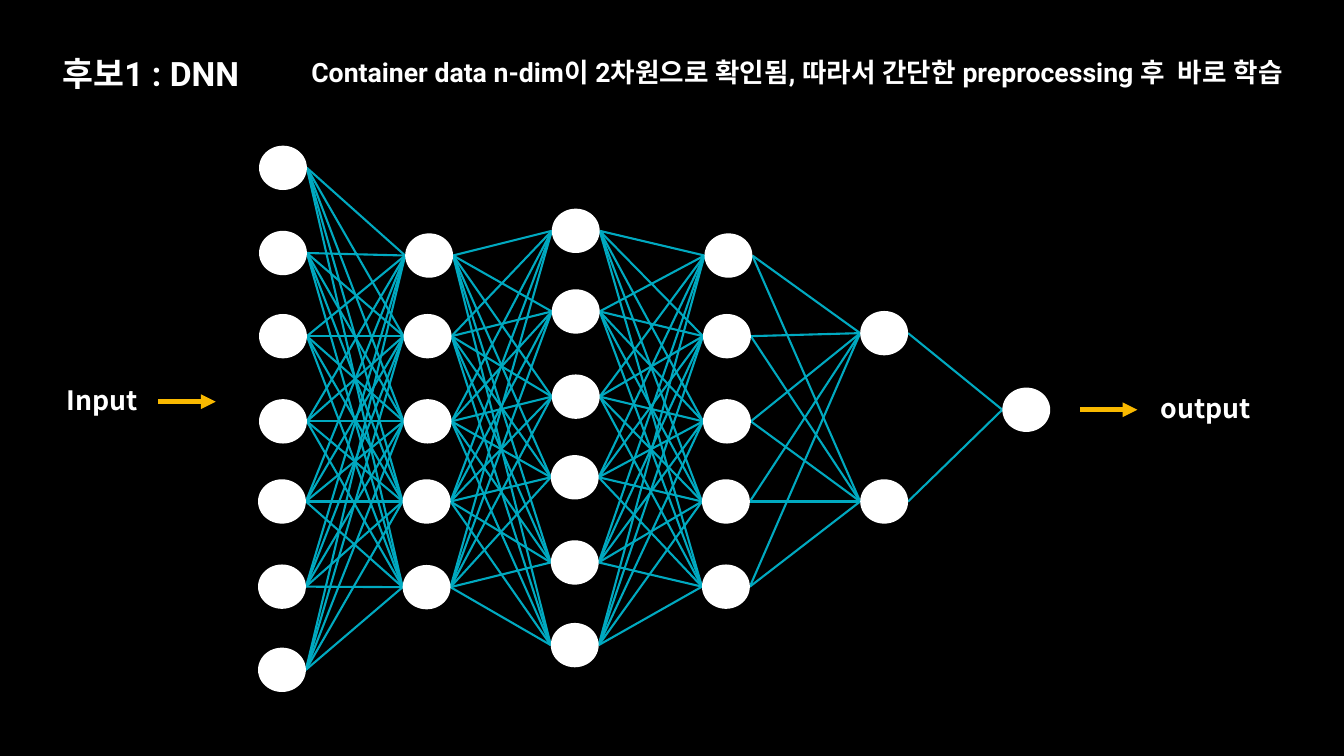
from itertools import pairwise, product

from lxml import etree
from pptx import Presentation
from pptx.dml.color import RGBColor
from pptx.enum import shapes, text
from pptx.oxml.ns import qn
from pptx.util import Inches, Pt

# Content
HEADING = ("후보1 : DNN", (1.14, 1.1, 4.55, 0.85), 48, "Roboto")
CAPTIONS = [
    ("Input", (1.23, 7.63, 1.9, 0.68), 38, "Noto Sans CJK KR"),
    ("output", (22.94, 7.8, 2.16, 0.68), 38, "Noto Sans CJK KR"),
    ("Container data n-dim이 2차원으로 확인됨, 따라서 간단한 preprocessing 후  바로 학습 ",
     (6.08, 1.14, 19.53, 0.69), 38, "Roboto"),
]
# Each layer: node runs as (left edge, vertical centres)
LAYERS = [
    [(5.14, [3.33, 5.02, 6.67, 8.36]), (5.12, [9.95, 11.64, 13.29])],
    [(8.04, [5.07]), (8.01, [6.67, 8.36]), (7.99, [9.95, 11.65])],
    [(10.95, [4.58, 6.18, 7.87]), (10.93, [9.47, 11.16, 12.8])],
    [(13.98, [5.07]), (13.95, [6.67, 8.36]), (13.93, [9.95, 11.64])],
    [(17.07, [6.61, 9.95])],
    [(19.89, [8.13])],
]
FLOW_ARROWS = [(3.14, 7.97), (21.43, 8.13)]
ARROW_LENGTH = 1.14
NODE_W, NODE_H = 0.95, 0.88
BLACK, WHITE, TEAL, AMBER = "000000", "FFFFFF", "00A9C0", "F9B900"

deck = Presentation()
deck.slide_width, deck.slide_height = Inches(26.67), Inches(15)
slide = deck.slides.add_slide(deck.slide_layouts[5])


def paint(fill, color):
    fill.solid()
    fill.fore_color.rgb = RGBColor.from_string(color)


def write(box, words, place, size, face):
    for side, value in zip(("left", "top", "width", "height"), place):
        setattr(box, side, Inches(value))
    frame = box.text_frame
    frame.word_wrap = True
    frame.auto_size = text.MSO_AUTO_SIZE.NONE
    frame.vertical_anchor = text.MSO_ANCHOR.TOP
    line = frame.paragraphs[0]
    layout = {"alignment": text.PP_ALIGN.LEFT, "line_spacing": 0.9, "space_before": Pt(45)}
    for key, value in layout.items():
        setattr(line, key, value)
    run = line.add_run()
    run.text = words
    for key, value in {"size": Pt(size), "name": face, "bold": True}.items():
        setattr(run.font, key, value)
    paint(run.font.fill, WHITE)
    etree.SubElement(run.font._element, qn("a:ea"), typeface=face)


def connect(start, end, color, width, arrow=False):
    link = slide.shapes.add_connector(
        shapes.MSO_CONNECTOR.STRAIGHT, *(Inches(v) for v in (*start, *end)))
    paint(link.line.fill, color)
    link.line.width = Pt(width)
    properties = link._element.spPr
    if arrow:
        etree.SubElement(properties.find(qn("a:ln")), qn("a:tailEnd"), type="triangle")
    etree.SubElement(properties, qn("a:effectLst"))


# Background and heading
paint(slide.background.fill, BLACK)
write(slide.shapes.title, *HEADING)

# Links between every pair of nodes in neighbouring layers
layers = [[(x, y) for x, centres in runs for y in centres] for runs in LAYERS]
for sources, targets in pairwise(layers):
    for (x, y), target in product(sources, targets):
        connect((x + NODE_W, y), target, TEAL, 3)

# Nodes
for x, y in (node for layer in layers for node in layer):
    neuron = slide.shapes.add_shape(
        shapes.MSO_SHAPE.OVAL, Inches(x), Inches(y - NODE_H / 2), Inches(NODE_W), Inches(NODE_H))
    paint(neuron.fill, WHITE)
    neuron.line.fill.background()
    neuron.shadow.inherit = False

# Input and output arrows, captions
for x, y in FLOW_ARROWS:
    connect((x, y), (x + ARROW_LENGTH, y), AMBER, 7, arrow=True)
for words, place, size, face in CAPTIONS:
    write(slide.shapes.add_textbox(0, 0, 0, 0), words, place, size, face)

deck.save("out.pptx")
